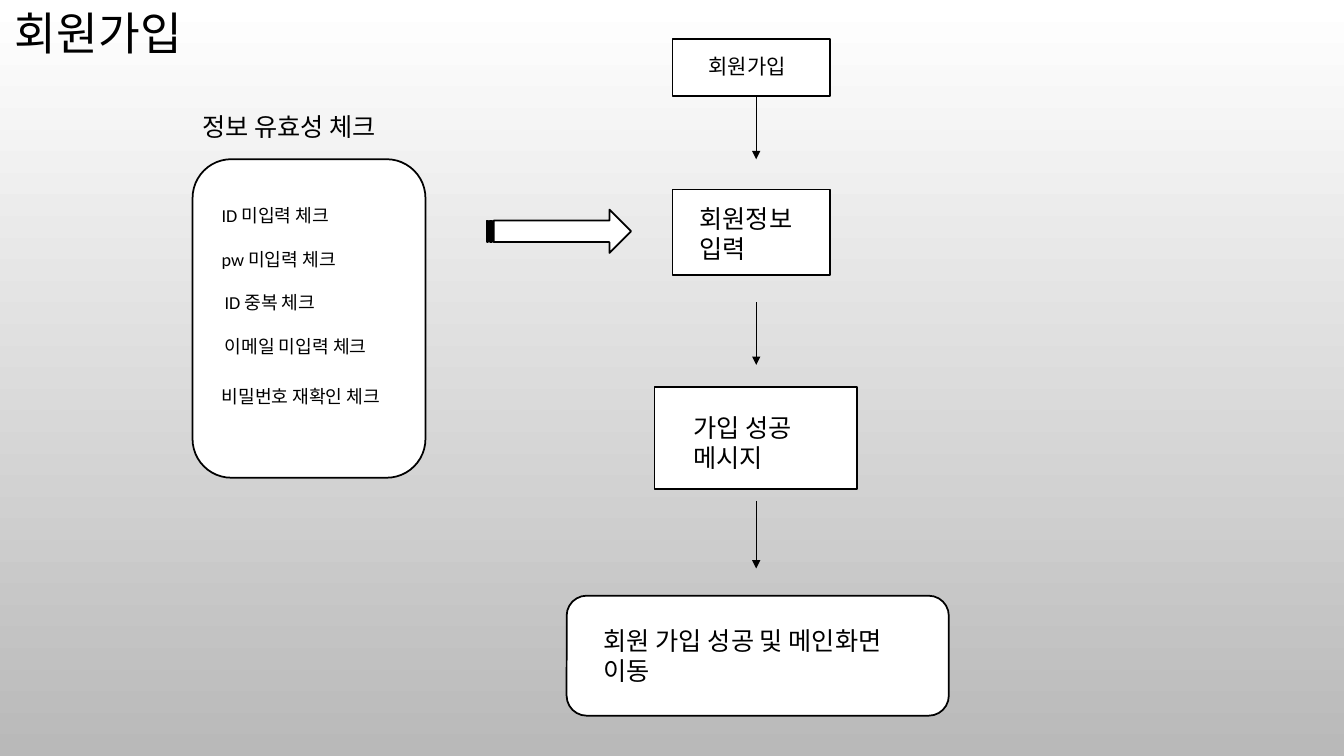
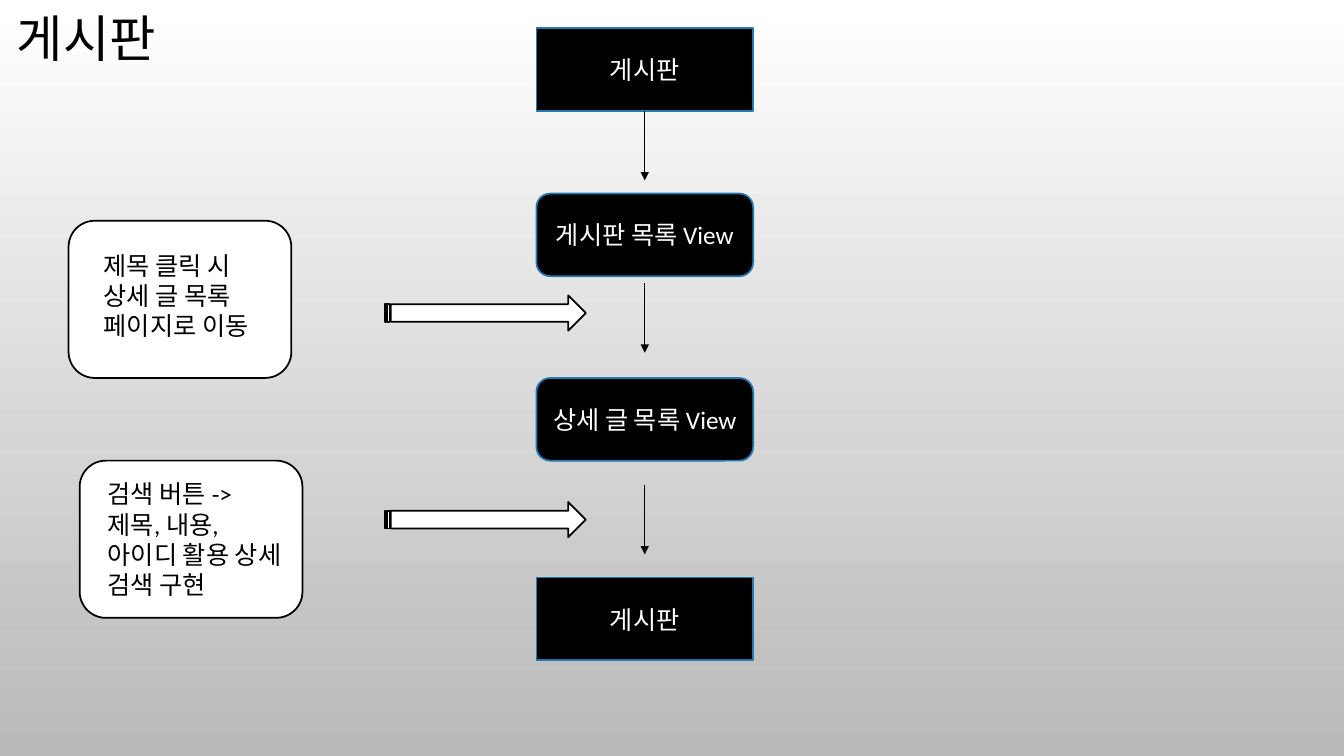
import pptx
import pptx.util
import pptx.dml.color
import pptx.enum.shapes
import pptx.enum.text
import pptx.oxml.ns
import lxml.etree

Inches = pptx.util.Inches
Pt = pptx.util.Pt
RGBColor = pptx.dml.color.RGBColor
Shape = pptx.enum.shapes.MSO_SHAPE
Align = pptx.enum.text.PP_ALIGN
Anchor = pptx.enum.text.MSO_ANCHOR
AutoSize = pptx.enum.text.MSO_AUTO_SIZE
qn = pptx.oxml.ns.qn

BLACK = RGBColor(0x00, 0x00, 0x00)
WHITE = RGBColor(0xFF, 0xFF, 0xFF)
GRAY = RGBColor(0xB9, 0xB9, 0xB9)
BLUE = RGBColor(0x23, 0x79, 0xB0)
FONT = "Calibri"


def lengths(box):
    """Turn a box given in inches into lengths."""
    return [Inches(value) for value in box]


def inside(box, left, top, width, height):
    """Return a box placed by offsets from the corner of another."""
    return box[0] + left, box[1] + top, width, height


def write(frame, text, size=18, color=BLACK, align=Align.LEFT, anchor=Anchor.TOP,
          spacing=None, auto_size=AutoSize.NONE):
    """Fill a text frame, one paragraph for each line of text."""
    frame.word_wrap = True
    frame.auto_size = auto_size
    frame.vertical_anchor = anchor
    for index, line in enumerate(text.split("\n")):
        para = frame.add_paragraph() if index else frame.paragraphs[0]
        para.alignment = align
        if spacing:
            para.line_spacing = spacing
        span = para.add_run()
        span.text = line
        span.font.name = FONT
        span.font.size = Pt(size)
        span.font.color.rgb = color


def add_label(page, box, text, size=18):
    """Add a text box that grows with its text."""
    label = page.shapes.add_textbox(*lengths(box))
    write(label.text_frame, text, size=size, auto_size=AutoSize.SHAPE_TO_FIT_TEXT)


def add_panel(page, kind, box, fill=WHITE, line=BLACK):
    """Add an outlined preset shape."""
    panel = page.shapes.add_shape(kind, *lengths(box))
    panel.shadow.inherit = False
    panel.fill.solid()
    panel.fill.fore_color.rgb = fill
    panel.line.color.rgb = line
    panel.line.width = Pt(1.25)
    return panel


def add_note(page, kind, box, text, inset, size=18):
    """Add a white panel with a label set at an inset in it."""
    add_panel(page, kind, box)
    add_label(page, inside(box, *inset), text, size=size)


def add_down_arrow(page, x, top, length):
    """Add a thin vertical arrow that points down."""
    arrow = page.shapes.add_connector(
        pptx.enum.shapes.MSO_CONNECTOR.STRAIGHT, *lengths((x, top, x, top + length)))
    arrow.line.color.rgb = BLACK
    arrow.line.width = Pt(0.75)
    lxml.etree.SubElement(arrow.line._get_or_add_ln(), qn("a:tailEnd"), type="triangle")
    properties = arrow._element.spPr
    lxml.etree.SubElement(properties, qn("a:effectLst"))


def set_background(master):
    """Give every slide the white to gray gradient."""
    fill = master.background.fill
    fill.gradient()
    fill.gradient_angle = 270
    for stop, position, color in zip(fill.gradient_stops, (0, 1), (WHITE, GRAY)):
        stop.position = position
        stop.color.rgb = color


def add_page(deck, title, box, size):
    """Add a title-only slide with its title placed."""
    page = deck.slides.add_slide(deck.slide_layouts[5])
    heading = page.shapes.title
    heading.left, heading.top, heading.width, heading.height = lengths(box)
    write(heading.text_frame, title, size=size, align=Align.CENTER,
          anchor=Anchor.MIDDLE, spacing=0.9)
    return page


def add_signup_flow(page, box):
    """Add the column of sign-up steps."""
    steps = [
        (Shape.RECTANGLE, (1.05, 0, 1.56, 0.56), "회원가입", (0.26, 0.09, 1.43, 0.35), 15),
        (Shape.RECTANGLE, (1.05, 1.49, 1.56, 0.85), "회원정보 입력", (0.17, 0.09, 1.31, 0.71), 18),
        (Shape.RECTANGLE, (0.87, 3.45, 2.01, 1.01), "가입 성공 메시지", (0.29, 0.2, 1.43, 0.71), 18),
        (Shape.ROUNDED_RECTANGLE, (0, 5.52, 3.79, 1.19), "회원 가입 성공 및 메인화면 이동",
         (0.27, 0.24, 3.26, 0.71), 18),
    ]
    for kind, place, text, inset, size in steps:
        add_note(page, kind, inside(box, *place), text, inset, size=size)
    for top, length in ((0.56, 0.63), (2.61, 0.62), (4.58, 0.67)):
        add_down_arrow(page, box[0] + 1.88, box[1] + top, length)


def add_checklist(page, box):
    """Add the panel of validity checks under its heading."""
    add_panel(page, Shape.ROUNDED_RECTANGLE, box)
    add_label(page, inside(box, 0, -0.52, 2.18, 0.4), "정보 유효성 체크")
    checks = [
        ("ID 미입력 체크", 0.19, 0.4),
        ("pw 미입력 체크", 0.19, 0.83),
        ("ID 중복 체크", 0.22, 1.26),
        ("이메일 미입력 체크", 0.22, 1.7),
        ("비밀번호 재확인 체크", 0.19, 2.19),
    ]
    for text, left, top in checks:
        add_label(page, inside(box, left, top, 1.93, 0.32), text, size=13)


def add_board_flow(page, box):
    """Add the column of board steps."""
    left, top, width, height = box
    steps = [
        (Shape.RECTANGLE, 0, "게시판"),
        (Shape.ROUNDED_RECTANGLE, 1.64, "게시판 목록 View"),
        (Shape.ROUNDED_RECTANGLE, 3.47, "상세 글 목록 View"),
        (Shape.RECTANGLE, 5.45, "게시판"),
    ]
    for kind, offset, text in steps:
        step = add_panel(page, kind, (left, top + offset, width, 0.82), fill=BLACK, line=BLUE)
        write(step.text_frame, text, color=WHITE, align=Align.CENTER, anchor=Anchor.MIDDLE)
    for offset in (0.82, 2.53, 4.53):
        add_down_arrow(page, left + width / 2, top + offset, 0.69)


def add_board_notes(page, box):
    """Add the two notes and the striped arrows beside them."""
    notes = [
        ((0, 0, 2.21, 1.56), "제목 클릭 시\n상세 글 목록 페이지로 이동", (0.25, 0.24, 1.92, 1.01), 0.74),
        ((0.11, 2.38, 2.21, 1.56), "검색 버튼 -> 제목, 내용, 아이디 활용 상세 검색 구현",
         (0.18, 0.13, 1.92, 1.31), 2.79),
    ]
    for place, text, inset, arrow_top in notes:
        add_note(page, Shape.ROUNDED_RECTANGLE, inside(box, *place), text, inset)
        add_panel(page, Shape.STRIPED_RIGHT_ARROW, inside(box, 3.14, arrow_top, 1.99, 0.35))


def main():
    """Build and save the deck."""
    deck = pptx.Presentation()
    deck.slide_width, deck.slide_height = lengths((13.33, 7.5))
    set_background(deck.slide_master)

    signup = add_page(deck, "회원가입", (-0.18, 0.09, 2.31, 0.54), 32.4)
    add_signup_flow(signup, (5.62, 0.39, 3.79, 6.71))
    add_panel(signup, Shape.STRIPED_RIGHT_ARROW, (4.83, 2.08, 1.43, 0.43))
    add_checklist(signup, (1.91, 1.58, 2.31, 3.16))

    board = add_page(deck, "게시판", (0, 0, 1.71, 0.82), 36)
    add_board_flow(board, (5.32, 0.28, 2.15, 6.27))
    add_board_notes(board, (0.68, 2.19, 5.13, 3.94))

    deck.save("out.pptx")


if __name__ == "__main__":
    main()
